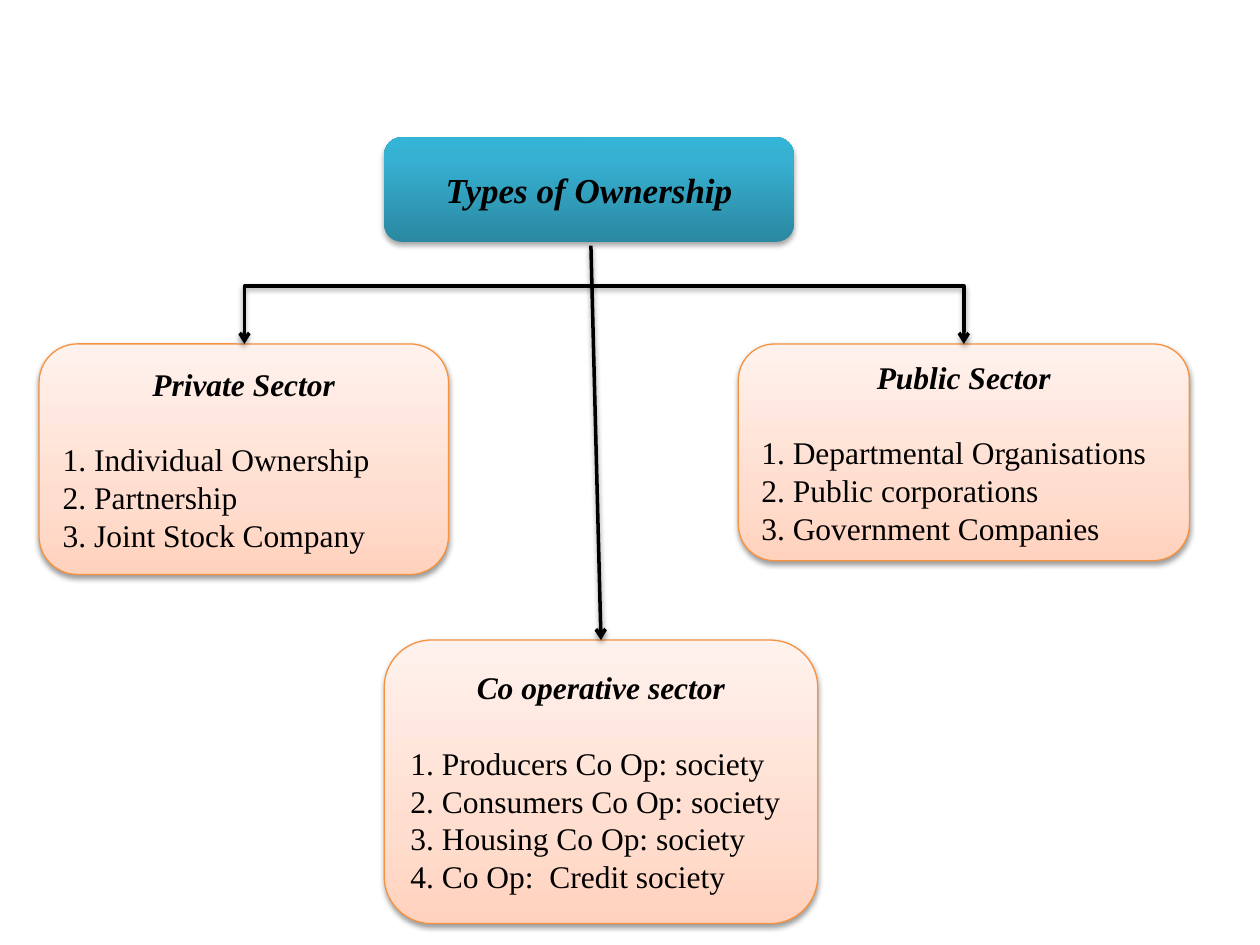
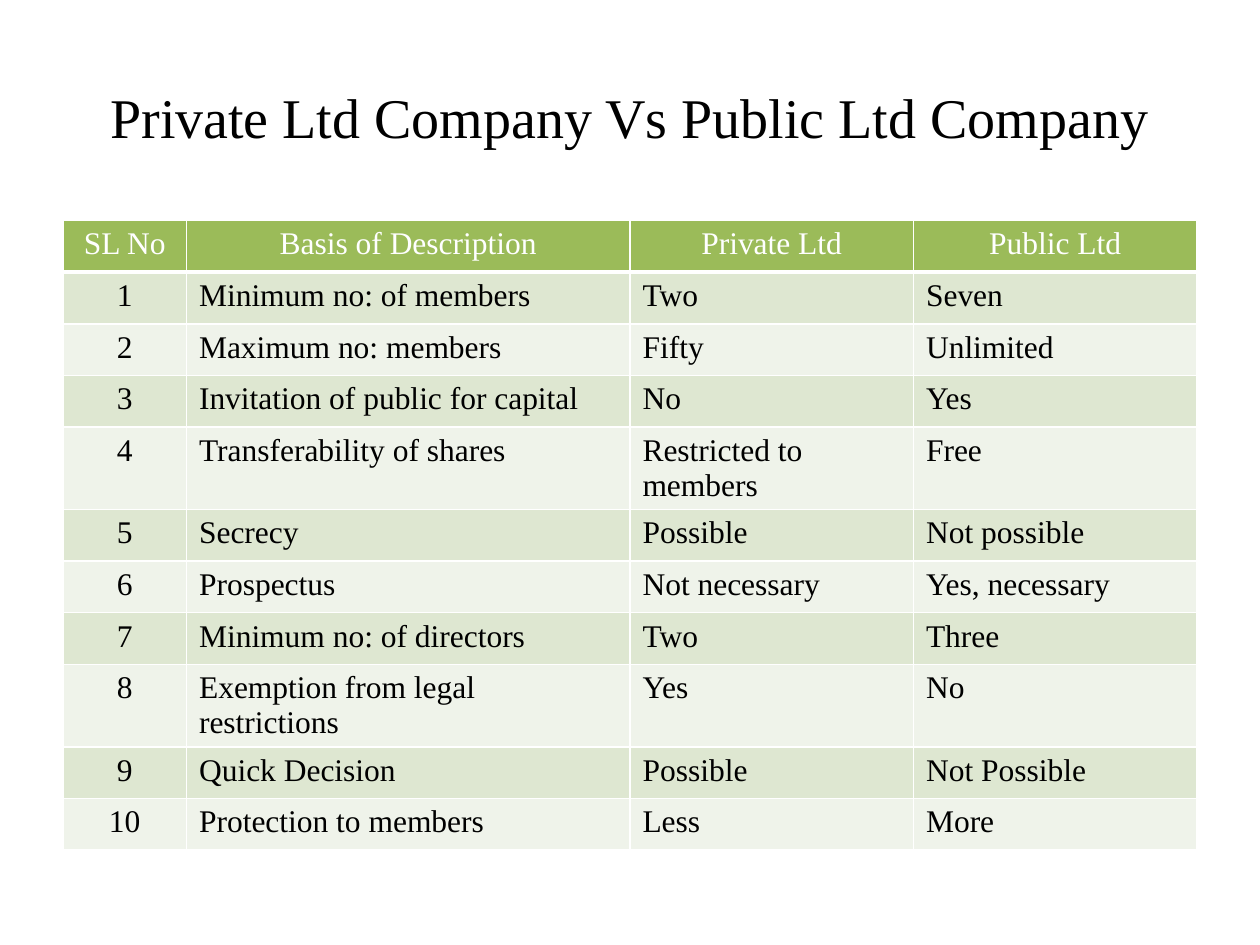
from dataclasses import dataclass
from pptx import Presentation
from pptx.dml.color import RGBColor
from pptx.enum.shapes import MSO_CONNECTOR, MSO_SHAPE
from pptx.enum.text import MSO_ANCHOR, PP_ALIGN
from pptx.oxml import parse_xml
from pptx.oxml.ns import nsdecls, qn
from pptx.util import Inches, Pt


@dataclass(frozen=True)
class Theme:
    face: str = "Times New Roman"
    ink: str = "000000"
    paper: str = "FFFFFF"
    edge: str = "F69240"
    head: str = "9BBB59"
    bands: tuple = ("DEE7D1", "EFF3EA")
    teal: tuple = ((0, "2A88A2"), (80, "37B1D2"), (100, "34B4D6"))
    peach: tuple = ((0, "FFD2BD"), (35, "FFDED0"), (100, "FFF2ED"))
    title: int = 32
    root: int = 20
    body: int = 18
    gap: float = 21.5


class Deck:
    def __init__(self, theme):
        self.theme = theme
        self.file = Presentation()
        self.file.slide_width = Inches(10)
        self.file.slide_height = Inches(7.5)
        self.slide = None

    def start(self, layout):
        self.slide = self.file.slides.add_slide(self.file.slide_layouts[layout])

    def style(self, para, size, color=None, bold=False, align=PP_ALIGN.LEFT):
        para.alignment = align
        font = para.font
        font.name = self.theme.face
        font.size = Pt(size)
        font.bold = font.italic = bold
        font.color.rgb = RGBColor.from_string(color or self.theme.ink)

    def shade(self, item, alpha=38, dist=1.6):
        item._element.spPr.append(parse_xml(
            f'<a:effectLst {nsdecls("a")}><a:outerShdw blurRad="{Pt(3.1)}" '
            f'dist="{Pt(dist)}" dir="5400000" rotWithShape="0">'
            f'<a:srgbClr val="{self.theme.ink}"><a:alpha val="{alpha * 1000}"/>'
            '</a:srgbClr></a:outerShdw></a:effectLst>'))

    def blend(self, shape, stops):
        marks = "".join(
            f'<a:gs pos="{pos * 1000}"><a:srgbClr val="{color}"/></a:gs>'
            for pos, color in stops)
        shape._element.spPr.find(qn("a:prstGeom")).addnext(parse_xml(
            f'<a:gradFill {nsdecls("a")} rotWithShape="1"><a:gsLst>{marks}</a:gsLst>'
            '<a:lin ang="16200000" scaled="0"/></a:gradFill>'))

    def box(self, area, stops):
        shape = self.slide.shapes.add_shape(
            MSO_SHAPE.ROUNDED_RECTANGLE, *map(Inches, area))
        self.blend(shape, stops)
        shape.text_frame.vertical_anchor = MSO_ANCHOR.MIDDLE
        return shape

    def root(self, area, text):
        shape = self.box(area, self.theme.teal)
        shape.line.fill.background()
        self.shade(shape, 35, 1.8)
        para = shape.text_frame.paragraphs[0]
        para.text = text
        self.style(para, self.theme.root, bold=True, align=PP_ALIGN.CENTER)

    def sector(self, area, name, kinds):
        shape = self.box(area, self.theme.peach)
        shape.line.color.rgb = RGBColor.from_string(self.theme.edge)
        shape.line.width = Pt(0.75)
        self.shade(shape)
        frame = shape.text_frame
        para = frame.paragraphs[0]
        para.text = name
        para.space_after = Pt(self.theme.gap)
        self.style(para, self.theme.body, bold=True, align=PP_ALIGN.CENTER)
        for count, kind in enumerate(kinds, 1):
            para = frame.add_paragraph()
            para.text = f"{count}. {kind}"
            self.style(para, self.theme.body)
        return shape

    def arrow(self, start, end, bent=False):
        kind = MSO_CONNECTOR.ELBOW if bent else MSO_CONNECTOR.STRAIGHT
        line = self.slide.shapes.add_connector(kind, *map(Inches, start + end))
        line.line.color.rgb = RGBColor.from_string(self.theme.ink)
        line.line.width = Pt(2)
        props = line._element.spPr
        if bent:
            props.find(qn("a:prstGeom")).set("prst", "bentConnector2")
        props.find(qn("a:ln")).append(
            parse_xml(f'<a:tailEnd {nsdecls("a")} type="arrow"/>'))
        self.shade(line)
        return line

    def title(self, text):
        shape = self.slide.shapes.title
        shape.left, shape.top, shape.width, shape.height = map(
            Inches, (0.5, 0.3, 9, 1.25))
        shape.text_frame.vertical_anchor = MSO_ANCHOR.MIDDLE
        para = shape.text_frame.paragraphs[0]
        para.text = text
        self.style(para, self.theme.title, align=PP_ALIGN.CENTER)

    def rule(self, cell, base):
        props = cell._tc.get_or_add_tcPr()
        for spot, side in enumerate("LRTB"):
            width = Pt(base if side == "B" else 1)
            props.insert(spot, parse_xml(
                f'<a:ln{side} {nsdecls("a")} w="{width}"><a:solidFill>'
                f'<a:srgbClr val="{self.theme.paper}"/></a:solidFill></a:ln{side}>'))

    def table(self, spot, widths, height, rows):
        size = sum(widths), height * len(rows)
        grid = self.slide.shapes.add_table(
            len(rows), len(widths), *map(Inches, spot + size)).table
        for col, width in zip(grid.columns, widths):
            col.width = Inches(width)
        for r, row in enumerate(rows):
            grid.rows[r].height = Inches(height)
            fill = self.theme.bands[(r - 1) % 2] if r else self.theme.head
            color = self.theme.ink if r else self.theme.paper
            for c, text in enumerate(row):
                cell = grid.cell(r, c)
                cell.fill.solid()
                cell.fill.fore_color.rgb = RGBColor.from_string(fill)
                self.rule(cell, 1 if r else 3)
                para = cell.text_frame.paragraphs[0]
                para.text = text
                align = PP_ALIGN.LEFT if r and c else PP_ALIGN.CENTER
                self.style(para, self.theme.body, color, align=align)


def chart_types(deck):
    deck.start(6)
    deck.root((3.05, 1.09, 3.25, 0.83), "Types of Ownership")
    deck.sector((0.31, 2.73, 3.25, 1.83), "Private Sector", (
        "Individual Ownership", "Partnership", "Joint Stock Company"))
    deck.sector((5.86, 2.73, 3.58, 1.72), "Public Sector", (
        "Departmental Organisations", "Public corporations",
        "Government Companies"))
    coop = deck.sector((3.05, 5.08, 3.44, 2.25), "Co operative sector", (
        "Producers Co Op: society", "Consumers Co Op: society",
        "Housing Co Op: society", "Co Op:  Credit society"))
    for end in (7.65, 1.94):
        deck.arrow((4.69, 2.27), (end, 2.73), bent=True)
    deck.arrow((4.69, 1.95), (4.77, 5.08)).end_connect(coop, 0)


def compare_firms(deck):
    facts = (
        ("Minimum no: of members", "Two", "Seven"),
        ("Maximum no: members", "Fifty", "Unlimited"),
        ("Invitation of public for capital", "No", "Yes"),
        ("Transferability of shares", "Restricted to members", "Free"),
        ("Secrecy", "Possible", "Not possible"),
        ("Prospectus", "Not necessary", "Yes, necessary"),
        ("Minimum no: of directors", "Two", "Three"),
        ("Exemption from legal restrictions", "Yes", "No"),
        ("Quick Decision", "Possible", "Not Possible"),
        ("Protection to members", "Less", "More"),
    )
    head = ("SL No", "Basis of Description", "Private Ltd", "Public Ltd")
    rows = [head] + [(str(n), *fact) for n, fact in enumerate(facts, 1)]
    deck.start(5)
    deck.title("Private Ltd Company Vs Public Ltd Company")
    deck.table((0.5, 1.75), (0.98, 3.52, 2.25, 2.25), 0.41, rows)


def main():
    deck = Deck(Theme())
    chart_types(deck)
    compare_firms(deck)
    deck.file.save("out.pptx")


if __name__ == "__main__":
    main()
